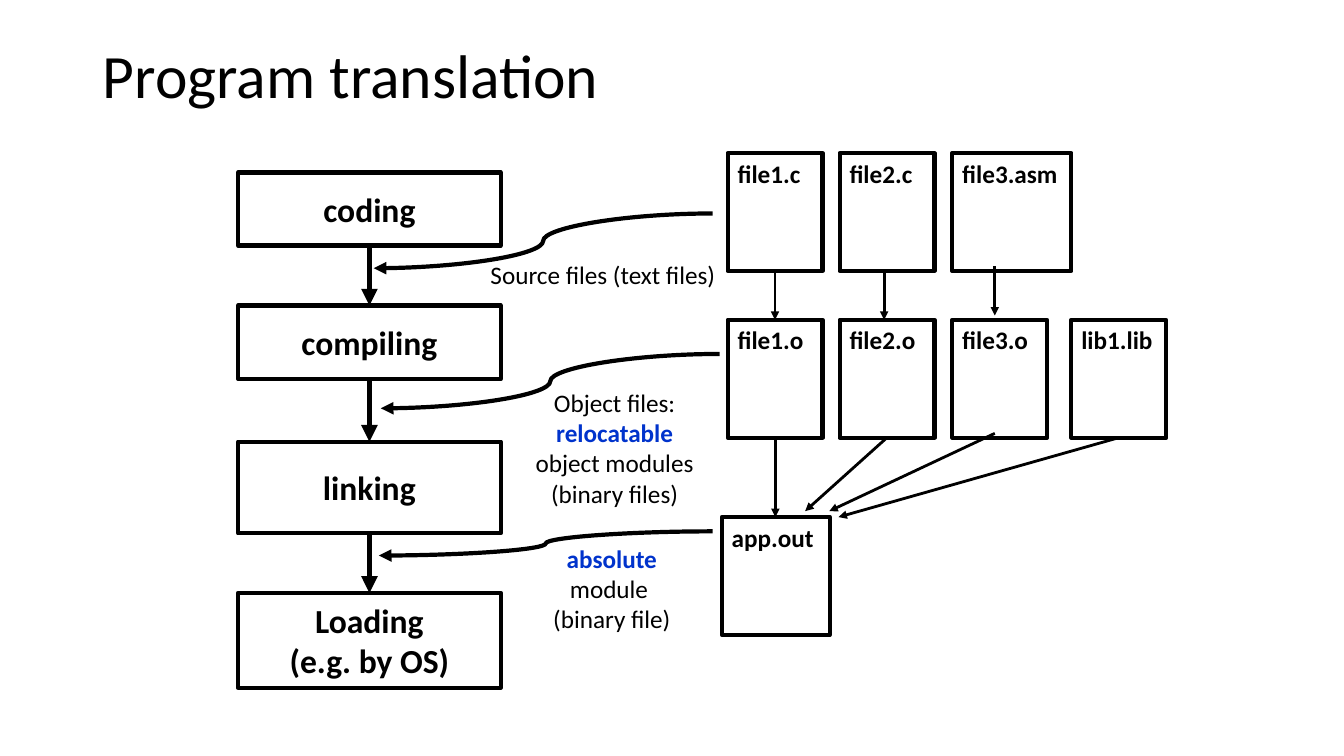
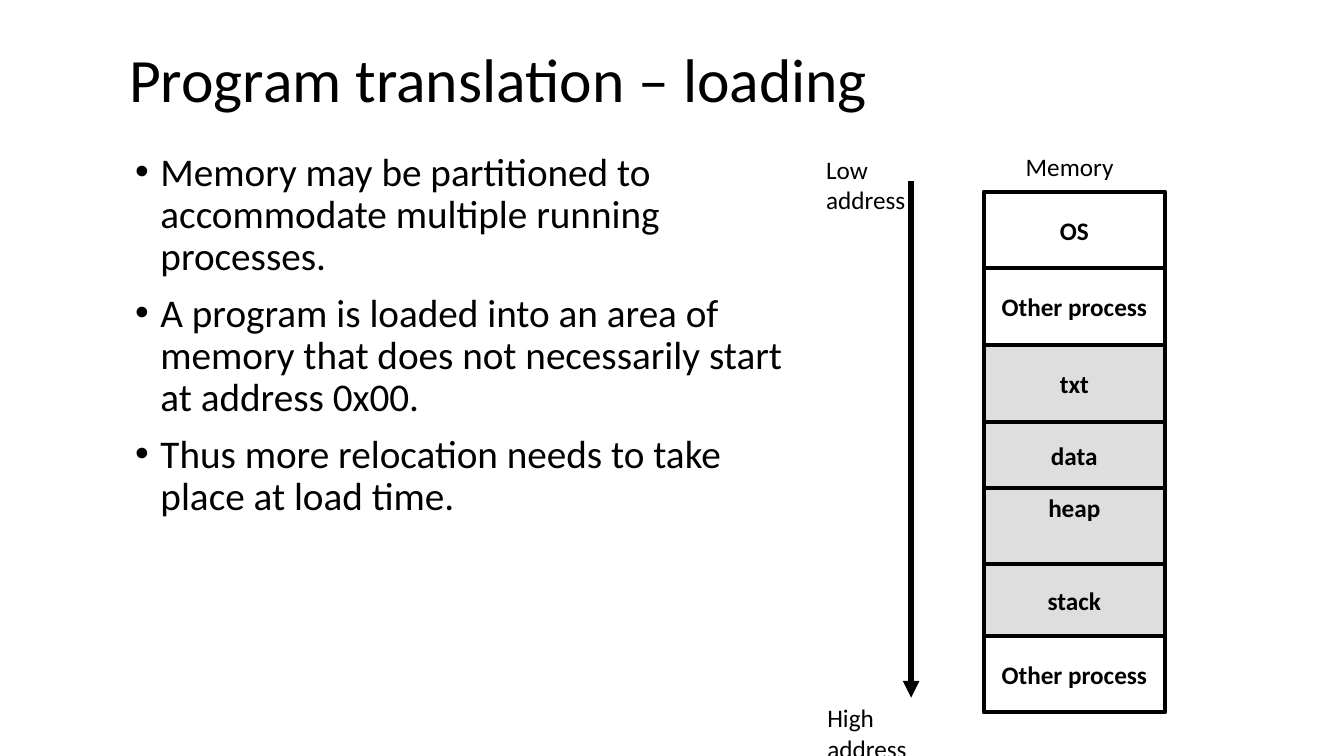
from pptx import Presentation
from pptx.dml.color import RGBColor
from pptx.enum.shapes import MSO_CONNECTOR as LINK, MSO_SHAPE
from pptx.enum.text import MSO_ANCHOR as ANCHOR, MSO_AUTO_SIZE, PP_ALIGN as ALIGN
from pptx.oxml.ns import qn
from pptx.util import Cm, Pt
from lxml.etree import SubElement

COLORS = {"ink": "000000", "key": "0033CC", "program": "BFBFBF"}
FONT = "Calibri"


def write(frame, paragraphs, size, align=ALIGN.LEFT, bold=False):
    """Fill a frame; each paragraph is a list of (text, is_key_term) runs."""
    frame.word_wrap = True
    frame.auto_size = MSO_AUTO_SIZE.NONE
    for i, runs in enumerate(paragraphs):
        para = frame.paragraphs[0] if i == 0 else frame.add_paragraph()
        para.alignment = align
        for text, is_key in runs:
            run = para.add_run()
            run.text = text
            run.font.name, run.font.size = FONT, Pt(size)
            run.font.bold = bold or is_key
            run.font.color.rgb = RGBColor.from_string(COLORS["key" if is_key else "ink"])


def add_box(slide, lines, place, size, align, anchor, fill=None):
    """Outlined rectangle with bold text and an optional half-transparent fill."""
    box = slide.shapes.add_shape(MSO_SHAPE.RECTANGLE, *map(Cm, place))
    box.shadow.inherit = False
    box.line.color.rgb = RGBColor.from_string(COLORS["ink"])
    box.line.width = Pt(3)
    if fill:
        box.fill.solid()
        box.fill.fore_color.rgb = RGBColor.from_string(COLORS[fill])
        tint = box._element.spPr.find(qn("a:solidFill")).find(qn("a:srgbClr"))
        SubElement(tint, qn("a:alpha"), val="50000")
    else:
        box.fill.background()
    box.text_frame.vertical_anchor = anchor
    write(box.text_frame, [[(line, False)] for line in lines], size, align, True)


prs = Presentation()
prs.slide_width, prs.slide_height = Cm(33.87), Cm(19.05)
translation = prs.slides.add_slide(prs.slide_layouts[5])
loading = prs.slides.add_slide(prs.slide_layouts[1])

# Titles
for slide, text, left, top in [
    (translation, "Program translation", 2.34, 0.15),
    (loading, "Program translation – loading", 3, 0.23),
]:
    title = slide.shapes.title
    title.left, title.top, title.width, title.height = map(Cm, (left, top, 29.2, 3.68))
    title.text_frame.vertical_anchor = ANCHOR.MIDDLE
    write(title.text_frame, [[(text, False)]], 44)
    title.text_frame.paragraphs[0].line_spacing = 0.9

# Translation stages, each with an arrow to the next
STAGE_LEFT, STAGE_WIDTH = 6, 6.62
stages = [
    (["coding"], 4.35, 1.84),
    (["compiling"], 7.7, 1.85),
    (["linking"], 11.13, 2.31),
    (["Loading", "(e.g. by OS)"], 14.94, 2.39),
]
for lines, top, height in stages:
    add_box(translation, lines, (STAGE_LEFT, top, STAGE_WIDTH, height), 24,
            ALIGN.CENTER, ANCHOR.MIDDLE)
stage_mid = STAGE_LEFT + STAGE_WIDTH / 2
stage_arrows = [(stage_mid, top + height, stage_mid, next_top)
                for (_, top, height), (_, next_top, _) in zip(stages, stages[1:])]

# Source, object and executable files
SOURCE_TOP, OBJECT_TOP, APP_TOP = 3.86, 8.06, 13.03
FILE_WIDTH, FILE_HEIGHT = 2.39, 2.97
for name, left, top, width in [
    ("file1.c", 18.34, SOURCE_TOP, FILE_WIDTH),
    ("file2.c", 21.16, SOURCE_TOP, FILE_WIDTH),
    ("file3.asm", 24, SOURCE_TOP, 3),
    ("file1.o", 18.34, OBJECT_TOP, FILE_WIDTH),
    ("file2.o", 21.16, OBJECT_TOP, FILE_WIDTH),
    ("file3.o", 24, OBJECT_TOP, FILE_WIDTH),
    ("lib1.lib", 27, OBJECT_TOP, FILE_WIDTH),
    ("app.out", 18.19, APP_TOP, 2.72),
]:
    add_box(translation, [name], (left, top, width, FILE_HEIGHT), 18, ALIGN.LEFT, ANCHOR.TOP)

object_bottom = OBJECT_TOP + FILE_HEIGHT
compile_arrows = [(x, SOURCE_TOP + FILE_HEIGHT, x, OBJECT_TOP) for x in (19.53, 22.28)]
compile_arrows.append((25.07, 6.71, 25.07, 7.95))
link_arrows = [
    (19.54, object_bottom, 19.54, APP_TOP),
    (22.35, object_bottom, 20.29, 12.88),
    (25.07, 10.92, 20.9, 12.88),
    (28.19, object_bottom, 21.13, APP_TOP),
]
file_curves = [
    (17.96, 5.38, 9.42, 6.76),
    (18.14, 8.92, 9.6, 10.29),
    (17.96, 13.39, 9.55, 14),
]

# Loading points
points = loading.placeholders[1]
points.left, points.top, points.width, points.height = map(Cm, (3.15, 3.71, 16.89, 14))
write(points.text_frame, [[(text, False)] for text in (
    "Memory may be partitioned to accommodate multiple running processes.",
    "A program is loaded into an area of memory that does not necessarily start at address 0x00.",
    "Thus more relocation needs to take place at load time.",
)], 28)
for para in points.text_frame.paragraphs:
    para.line_spacing, para.space_before = 0.9, Pt(10)
    props = para._p.get_or_add_pPr()
    props.set("marL", str(Cm(0.64)))
    props.set("indent", str(-Cm(0.64)))

# Memory map, stacked from low to high address
region_top = 4.83
for name, height, fill, anchor in [
    ("OS", 1.93, None, ANCHOR.MIDDLE),
    ("Other process", 1.93, None, ANCHOR.MIDDLE),
    ("txt", 1.95, "program", ANCHOR.MIDDLE),
    ("data", 1.65, "program", ANCHOR.MIDDLE),
    ("heap", 1.93, "program", ANCHOR.TOP),
    ("stack", 1.8, "program", ANCHOR.MIDDLE),
    ("Other process", 1.93, None, ANCHOR.MIDDLE),
]:
    add_box(loading, [name], (24.79, region_top, 4.57, height), 18, ALIGN.CENTER, anchor, fill)
    region_top += height

# Captions
for slide, place, align, paragraphs in [
    (translation, (11.73, 6.4, 6.93, 1.02), ALIGN.CENTER,
     [[("Source files (text files)", False)]]),
    (translation, (12.95, 9.63, 5.08, 3.33), ALIGN.CENTER,
     [[("Object files: ", False), ("relocatable", True),
       (" object modules (binary files)", False)]]),
    (translation, (13.11, 13.56, 4.62, 2.57), ALIGN.CENTER,
     [[("absolute", True), (" module ", False)], [("(binary file)", False)]]),
    (loading, (25.6, 3.68, 2.9, 1.02), ALIGN.LEFT, [[("Memory", False)]]),
    (loading, (20.57, 3.76, 2.8, 1.78), ALIGN.LEFT, [[("Low address", False)]]),
    (loading, (20.6, 17.58, 2.8, 1.47), ALIGN.LEFT, [[("High address", False)]]),
]:
    caption = slide.shapes.add_textbox(*map(Cm, place))
    write(caption.text_frame, paragraphs, 18, align)

# Arrows
for slide, kind, width, arrows in [
    (translation, LINK.STRAIGHT, 4, stage_arrows),
    (translation, LINK.CURVE, 3, file_curves),
    (translation, LINK.STRAIGHT, 2, compile_arrows + link_arrows),
    (loading, LINK.STRAIGHT, 4, [(22.96, 4.57, 22.96, 17.58)]),
]:
    for ends in arrows:
        arrow = slide.shapes.add_connector(kind, *map(Cm, ends))
        arrow.line.color.rgb = RGBColor.from_string(COLORS["ink"])
        arrow.line.width = Pt(width)
        SubElement(arrow.line._get_or_add_ln(), qn("a:tailEnd"), type="triangle")
        SubElement(arrow._element.spPr, qn("a:effectLst"))

prs.save("out.pptx")
